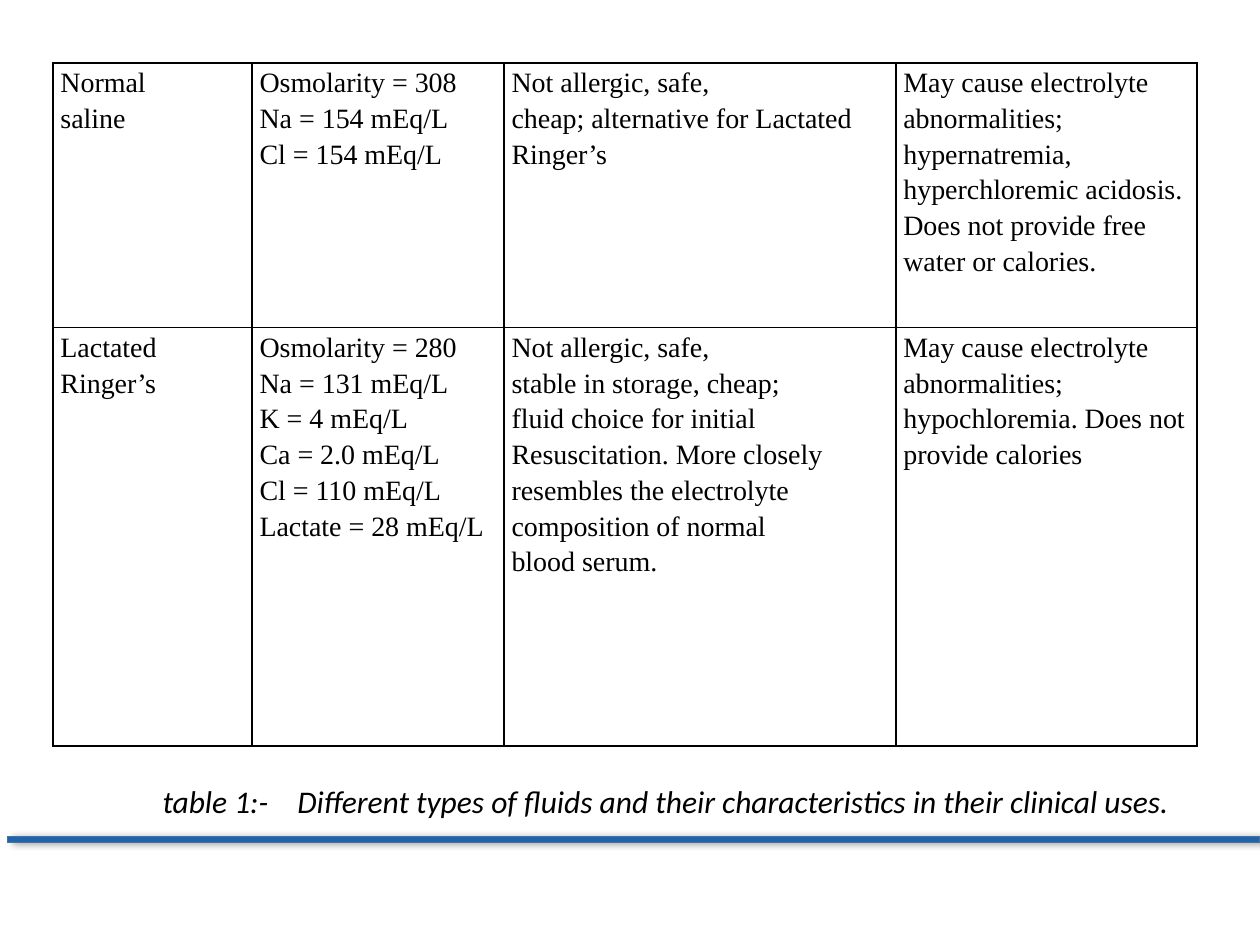
from lxml.etree import SubElement
from pptx import Presentation
from pptx.dml.color import RGBColor
from pptx.enum.shapes import MSO_SHAPE
from pptx.oxml import parse_xml
from pptx.oxml.ns import nsdecls, qn
from pptx.util import Inches, Pt

BLACK = RGBColor(0x00, 0x00, 0x00)
BLUE = RGBColor(0x21, 0x63, 0xAB)
BLUE_EDGE = RGBColor(0x43, 0x73, 0x9E)

FLUIDS = [
    [
        ["Normal", "saline"],
        ["Osmolarity = 308", "Na = 154 mEq/L", "Cl = 154 mEq/L"],
        ["Not allergic, safe,", "cheap; alternative for Lactated", "Ringer’s"],
        ["May cause electrolyte abnormalities;",
         "hypernatremia, hyperchloremic acidosis. Does not provide free",
         "water or calories."],
    ],
    [
        ["Lactated", "Ringer’s"],
        ["Osmolarity = 280", "Na = 131 mEq/L", "K = 4 mEq/L",
         "Ca = 2.0 mEq/L", "Cl = 110 mEq/L", "Lactate = 28 mEq/L"],
        ["Not allergic, safe,", "stable in storage, cheap;",
         "fluid choice for initial Resuscitation. More closely",
         "resembles the electrolyte", "composition of normal", "blood serum."],
        ["May cause electrolyte abnormalities;", "hypochloremia. Does not",
         "provide calories"],
    ],
]


def add_run(p, text, font, size, italic=False):
    r = p.add_run()
    r.text = text
    r.font.name = font
    r.font.size = Pt(size)
    r.font.italic = italic
    r.font.color.rgb = BLACK


def set_borders(cell, color=None, width=1):
    line = f'<a:solidFill><a:srgbClr val="{color}"/></a:solidFill>' if color else "<a:noFill/>"
    tc_pr = cell._tc.get_or_add_tcPr()
    for i, side in enumerate("LRTB"):
        tc_pr.insert(i, parse_xml(
            f'<a:ln{side} {nsdecls("a")} w="{Pt(width)}">{line}</a:ln{side}>'))


def add_plain_table(s, left, top, widths, heights):
    frame = s.shapes.add_table(
        len(heights), len(widths), Inches(left), Inches(top),
        Inches(sum(widths)), Inches(sum(heights)))
    table = frame.table
    table.first_row = False
    table.horz_banding = False
    for col, width in zip(table.columns, widths):
        col.width = Inches(width)
    for row, height in zip(table.rows, heights):
        row.height = Inches(height)
    for cell in table.iter_cells():
        cell.fill.background()
    return table


def fill_fluid_cell(cell, lines):
    cell.margin_left = cell.margin_right = Inches(0.06)
    cell.margin_top = cell.margin_bottom = 0
    set_borders(cell, BLACK)
    tf = cell.text_frame
    for i, line in enumerate(lines):
        p = tf.add_paragraph() if i else tf.paragraphs[0]
        p.line_spacing = 1.15
        add_run(p, line, "Times New Roman", 16)


def add_fluid_table(s):
    table = add_plain_table(s, 0.42, 0.5, [1.58, 2, 3.11, 2.39], [2.1, 3.32])
    for row, contents in zip(table.rows, FLUIDS):
        for cell, lines in zip(row.cells, contents):
            fill_fluid_cell(cell, lines)


def add_caption(s):
    cell = add_plain_table(s, 0.4, 6.17, [9.18], [0.75]).cell(0, 0)
    cell.margin_left = Inches(0.89)
    set_borders(cell)
    p = cell.text_frame.paragraphs[0]
    tabs = SubElement(p._p.get_or_add_pPr(), qn("a:tabLst"))
    SubElement(tabs, qn("a:tab"), pos=str(Inches(1.07)), algn="l")
    add_run(p, "table 1:-\tDifferent types of fluids and their "
               "characteristics in their clinical uses.", "Calibri", 18, True)


def add_rule(s):
    sp = s.shapes.add_shape(MSO_SHAPE.RECTANGLE, Inches(0.06), Inches(6.64),
                            Inches(9.94), Inches(0.05))
    sp.fill.solid()
    sp.fill.fore_color.rgb = BLUE
    sp.line.color.rgb = BLUE_EDGE
    sp.line.width = Pt(0.5)
    sp._element.spPr.append(parse_xml(
        f'<a:effectLst {nsdecls("a")}>'
        f'<a:outerShdw blurRad="{Pt(4)}" dist="{Pt(3)}" dir="0" rotWithShape="0">'
        '<a:srgbClr val="000000"><a:alpha val="40000"/></a:srgbClr>'
        '</a:outerShdw></a:effectLst>'))


def main():
    prs = Presentation()
    prs.slide_width = Inches(10)
    prs.slide_height = Inches(7.5)
    s = prs.slides.add_slide(prs.slide_layouts[6])
    add_rule(s)
    add_caption(s)
    add_fluid_table(s)
    prs.save("out.pptx")


if __name__ == "__main__":
    main()
